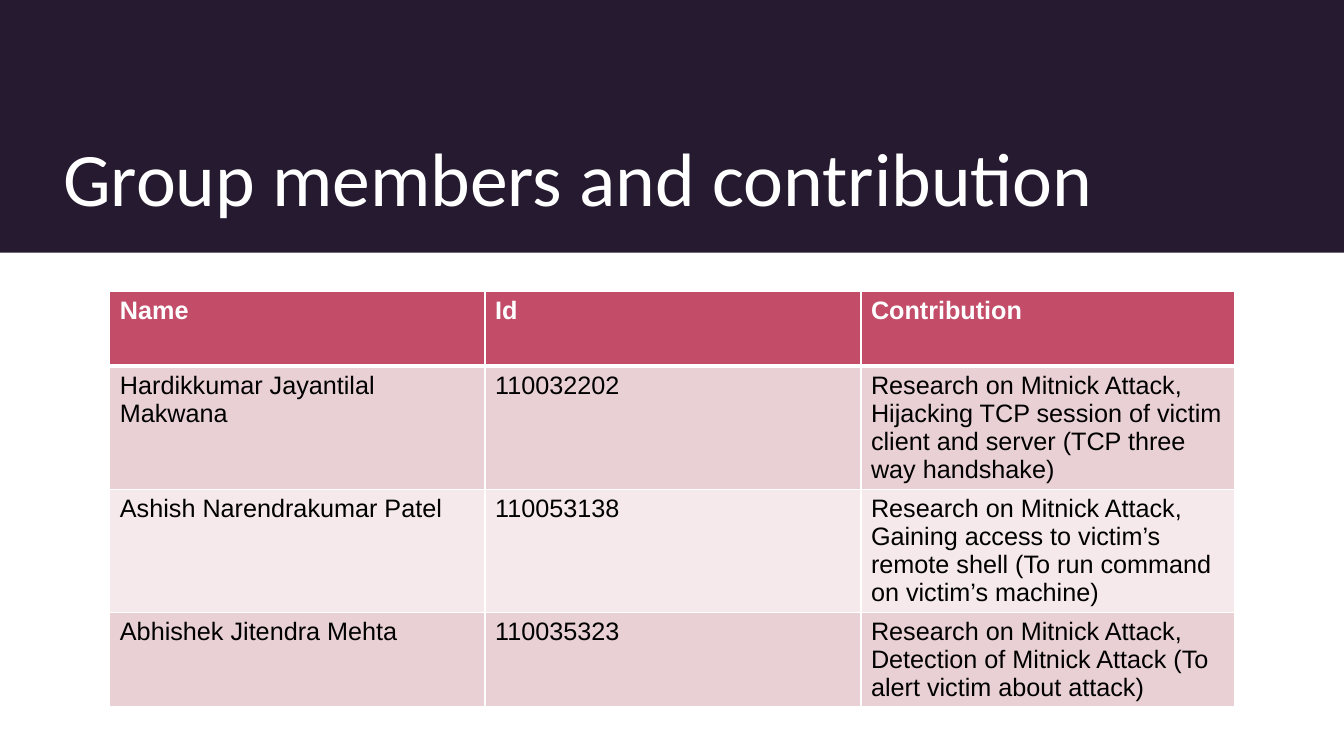
from lxml import etree
from pptx import Presentation
from pptx.dml.color import RGBColor
from pptx.enum.shapes import MSO_SHAPE
from pptx.enum.text import MSO_ANCHOR, PP_ALIGN
from pptx.oxml.ns import qn
from pptx.util import Pt

RECT = MSO_SHAPE.RECTANGLE
BOTTOM = MSO_ANCHOR.BOTTOM
LEFT = PP_ALIGN.LEFT

COLORS = {
    "band": "251A2F",
    "head": "C34D68",
    "odd": "E9D0D4",
    "even": "F5E9EB",
    "white": "FFFFFF",
    "black": "000000",
}
RGB = {name: RGBColor.from_string(code) for name, code in COLORS.items()}

ROWS = [
    ("Name", "Id", "Contribution"),
    ("Hardikkumar Jayantilal Makwana", "110032202",
     "Research on Mitnick Attack,\n"
     "Hijacking TCP session of victim client and server (TCP three way handshake)"),
    ("Ashish Narendrakumar Patel", "110053138",
     "Research on Mitnick Attack, Gaining access to victim’s remote shell "
     "(To run command on victim’s machine)"),
    ("Abhishek Jitendra Mehta", "110035323",
     "Research on Mitnick Attack, Detection of Mitnick Attack "
     "(To alert victim about attack)"),
]
WIDTHS = [268, 268.5, 267]
ROW_HIGH = 53.3


def style(par, color, **form):
    for key, value in form.items():
        setattr(par.font, key, value)
    par.font.color.rgb = RGB[color]
    par.alignment = LEFT


def border(cell, side, width):
    props = cell._tc.get_or_add_tcPr()
    line = etree.SubElement(props, qn("a:ln" + side), w=str(Pt(width)))
    fill = etree.SubElement(line, qn("a:solidFill"))
    etree.SubElement(fill, qn("a:srgbClr"), val=COLORS["white"])


prs = Presentation()
prs.slide_width, prs.slide_height = Pt(960), Pt(540)
slide = prs.slides.add_slide(prs.slide_layouts[5])

# Title on a dark band
title = slide.shapes.title
title.left, title.top, title.width, title.height = Pt(38), Pt(29), Pt(856), Pt(133)
frame = title.text_frame
frame.text = "Group members and contribution"
frame.vertical_anchor = BOTTOM
frame.word_wrap = True
style(frame.paragraphs[0], "white", name="Calibri", size=Pt(54))

band = slide.shapes.add_shape(RECT, 0, 0, prs.slide_width, Pt(180.5))
band.shadow.inherit = False
band.fill.solid()
band.fill.fore_color.rgb = RGB["band"]
band.line.fill.background()
title.element.addprevious(band.element)

# Table of members
table = slide.shapes.add_table(
    len(ROWS), len(WIDTHS), Pt(78.5), Pt(208.3),
    Pt(sum(WIDTHS)), Pt(ROW_HIGH * len(ROWS))).table
for col, width in zip(table.columns, WIDTHS):
    col.width = Pt(width)

for r, texts in enumerate(ROWS):
    table.rows[r].height = Pt(ROW_HIGH)
    head = r == 0
    shade = "head" if head else "odd" if r % 2 else "even"
    for c, text in enumerate(texts):
        cell = table.cell(r, c)
        cell.text = text
        for par in cell.text_frame.paragraphs:
            style(par, "white" if head else "black",
                  name="Arial", size=Pt(18), bold=head)
        edges = {"L": 1, "R": 1, "T": 3 if r == 1 else 1, "B": 3 if head else 1}
        for side, width in edges.items():
            border(cell, side, width)
        cell.fill.solid()
        cell.fill.fore_color.rgb = RGB[shade]

prs.save("out.pptx")
